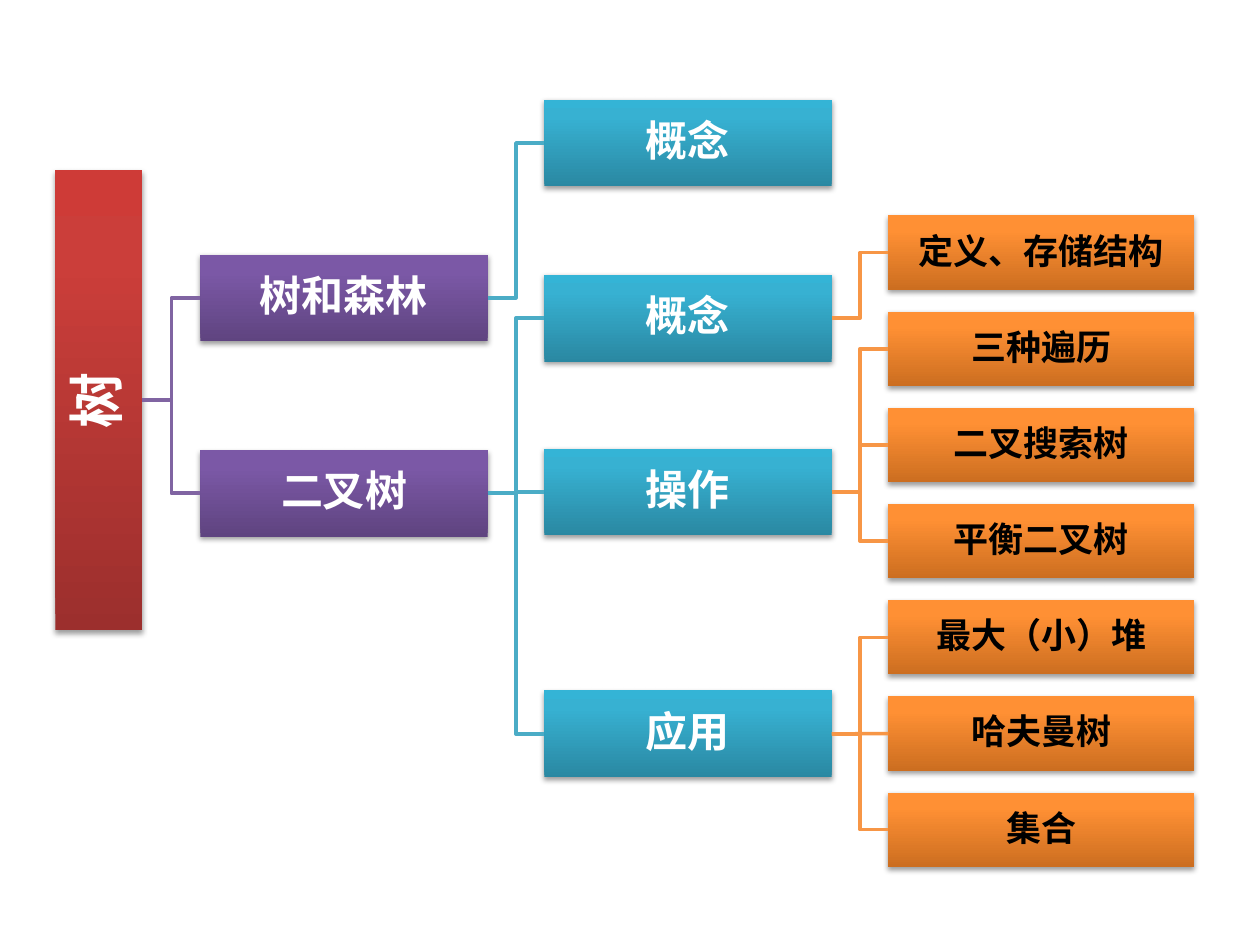
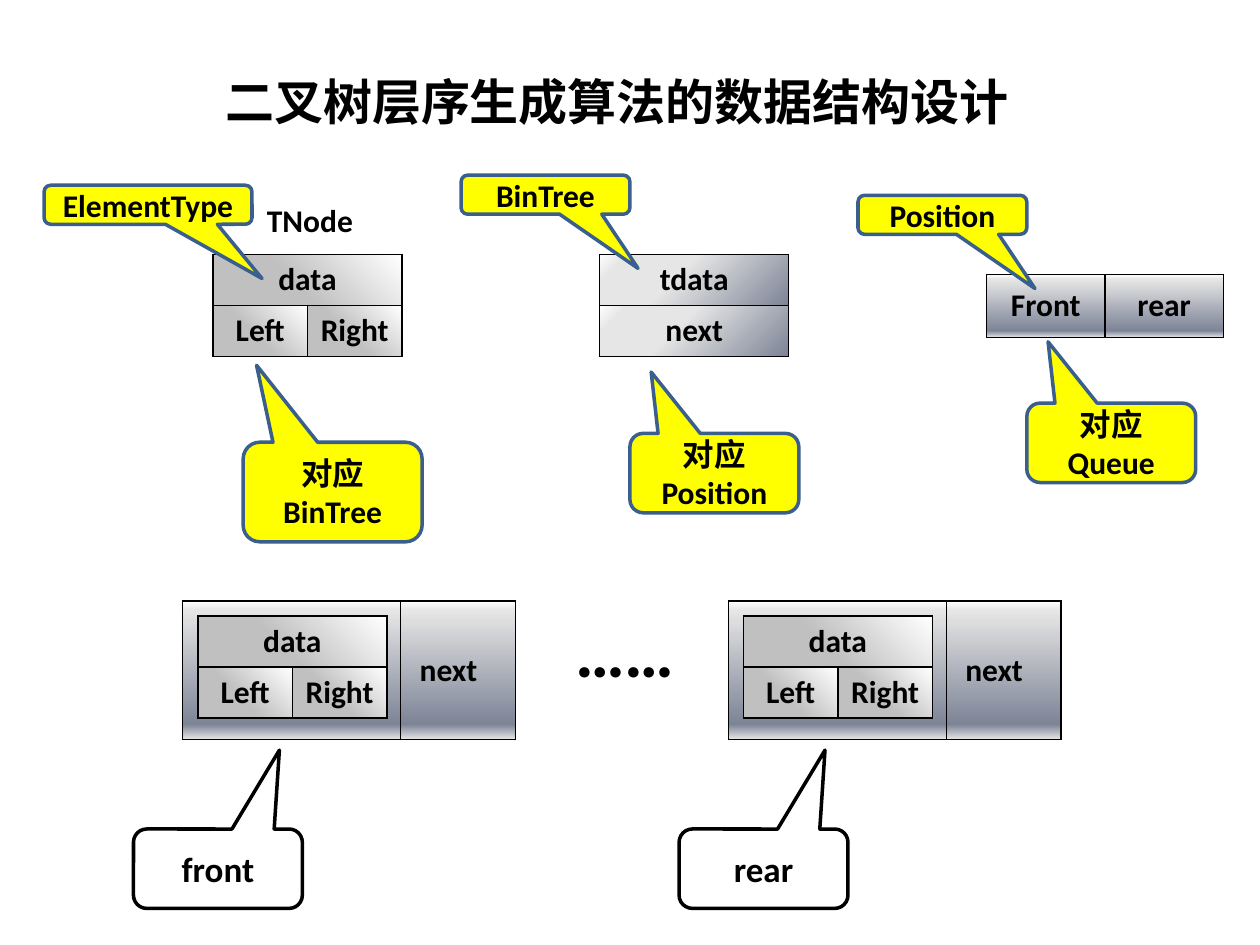
from dataclasses import dataclass

from lxml import etree
from pptx import Presentation
from pptx.dml.color import RGBColor
from pptx.enum.shapes import MSO_CONNECTOR as Connector, MSO_SHAPE as Shape
from pptx.enum.text import MSO_ANCHOR as Anchor, MSO_AUTO_SIZE as AutoSize, PP_ALIGN as Align
from pptx.oxml.ns import qn
from pptx.util import Inches, Pt


@dataclass(frozen=True)
class Theme:
    latin_font: str = "Calibri"
    asian_font: str = "Noto Sans CJK SC"
    black: str = "000000"
    white: str = "FFFFFF"
    yellow: str = "FFFF00"
    callout_line: str = "3A5F8C"
    body_size: int = 18
    pointer_size: int = 20
    title_size: int = 28
    dots_size: int = 40
    # gradients: angle, then (percent, colour) stops
    node_fill: tuple = (315, ((43, "C0C0C0"), (100, "FFFFFF")))
    item_fill: tuple = (45, ((0, "FFFFFF"), (12, "E6E6E6"), (41, "E6E6E6"),
                             (100, "7D8496"), (100, "E6E6E6")))
    steel_fill: tuple = (90, ((0, "FFFFFF"), (7, "E6E6E6"), (89, "7D8496"), (100, "E6E6E6")))


THEME = Theme()


@dataclass(frozen=True)
class Level:
    left: float
    width: float
    height: float
    gradient: tuple
    line: str
    size: int
    inset: float = 0.02
    text_color: str = THEME.white


@dataclass(frozen=True)
class Topic:
    text: str
    top: float
    children: tuple = ()


def upward(dark, middle, light):
    return 270, ((0, dark), (80, middle), (100, light))


LEVELS = (
    Level(0.44, 0.69, 3.65, upward("9C2F2D", "CB3E3A", "CE3B37"), "C0504D", 32),
    Level(1.59, 2.28, 0.69, upward("5F4480", "7B58A6", "7C57A8"), "8064A2", 24),
    Level(4.32, 2.28, 0.69, upward("2A88A2", "37B1D2", "34B4D6"), "4BACC6", 24),
    Level(7.05, 2.43, 0.59, upward("CC6E20", "FF9034", "FF9136"), "F79646", 20,
          0.01, THEME.black),
)
LEAF_TOP, LEAF_SPAN = 1.71, 4.58
LEAF_NAMES = ("定义、存储结构", "三种遍历", "二叉搜索树", "平衡二叉树",
              "最大（小）堆", "哈夫曼树", "集合")


def rgb(color):
    return RGBColor.from_string(color)


def apply_format(target, values):
    for name, value in values.items():
        setattr(target, name, value)


def set_gradient(fill, properties, gradient):
    """Give the fill held by a properties element any number of stops."""
    angle, stops = gradient
    fill.gradient()
    element = properties().find(qn("a:gradFill"))
    for child in list(element):
        element.remove(child)
    element.set("rotWithShape", "1")
    stop_list = etree.SubElement(element, qn("a:gsLst"))
    for percent, color in stops:
        stop = etree.SubElement(stop_list, qn("a:gs"), pos=str(percent * 1000))
        etree.SubElement(stop, qn("a:srgbClr"), val=color)
    etree.SubElement(element, qn("a:lin"), ang=str(angle * 60000), scaled="0")


def write_text(frame, text, size, color=THEME.black, align=Align.CENTER, **spacing):
    for index, line in enumerate(text.split("\n")):
        paragraph = frame.add_paragraph() if index else frame.paragraphs[0]
        apply_format(paragraph, {"alignment": align, **spacing})
        run = paragraph.add_run()
        run.text = line
        apply_format(run.font, {"name": THEME.latin_font, "size": Pt(size), "bold": True})
        run.font.color.rgb = rgb(color)
        if any(map(str.isalpha, line)):
            run.font._element.find(qn("a:latin")).addnext(
                etree.Element(qn("a:ea"), typeface=THEME.asian_font))


def add_shadow(shape):
    effects = shape._element.spPr.find(qn("a:effectLst"))
    shadow = etree.SubElement(effects, qn("a:outerShdw"), blurRad="40000", dist="20000",
                              dir="5400000", rotWithShape="0")
    color = etree.SubElement(shadow, qn("a:srgbClr"), val=THEME.black)
    etree.SubElement(color, qn("a:alpha"), val="38000")


def add_topic_box(slide, topic, level):
    box = slide.shapes.add_shape(Shape.RECTANGLE, *map(Inches, (
        level.left, topic.top, level.width, level.height)))
    box.shadow.inherit = False
    add_shadow(box)
    set_gradient(box.fill, lambda: box._element.spPr, level.gradient)
    box.line.fill.background()
    frame = box.text_frame
    inset = Inches(level.inset)
    apply_format(frame, {"margin_left": inset, "margin_right": inset, "margin_top": inset,
                         "margin_bottom": inset, "vertical_anchor": Anchor.MIDDLE,
                         "word_wrap": True})
    if level.height > level.width:
        frame._txBody.bodyPr.set("vert", "vert270")
    write_text(frame, topic.text, level.size, level.text_color,
               line_spacing=0.9, space_after=Pt(level.size * 0.35))
    return box


def add_line(slide, kind, ends, color, width):
    line = slide.shapes.add_connector(kind, *map(Inches, ends))
    line.line.color.rgb = rgb(color)
    line.line.width = Pt(width)
    etree.SubElement(line._element.spPr, qn("a:effectLst"))
    return line


def join_boxes(slide, parent, child, color):
    drop = child.top + child.height / 2 - parent.top - parent.height / 2
    kind = Connector.STRAIGHT if abs(drop) < Inches(0.005) else Connector.ELBOW
    line = add_line(slide, kind, (0, 0, 1, 1), color, 2)
    line.begin_connect(parent, 3)
    line.end_connect(child, 1)


def draw_branch(slide, topic, depth=0):
    """Draw a topic and everything below it; return the topic's box."""
    box = add_topic_box(slide, topic, LEVELS[depth])
    for child in topic.children:
        join_boxes(slide, box, draw_branch(slide, child, depth + 1), LEVELS[depth + 1].line)
    return box


def add_label(slide, text, place, size=THEME.body_size, align=Align.CENTER, wrap=False):
    label = slide.shapes.add_textbox(*map(Inches, place))
    apply_format(label.text_frame, {"word_wrap": wrap, "auto_size": AutoSize.SHAPE_TO_FIT_TEXT})
    write_text(label.text_frame, text, size, align=align)


def add_callout(slide, text, place, tip, fill=THEME.yellow, line=THEME.callout_line,
                size=THEME.body_size):
    """Add a rounded callout; tip is the pointer's offset as a share of its size."""
    callout = slide.shapes.add_shape(Shape.ROUNDED_RECTANGULAR_CALLOUT, *map(Inches, place))
    callout.adjustments[0], callout.adjustments[1] = tip
    callout.shadow.inherit = False
    callout.fill.solid()
    callout.fill.fore_color.rgb = rgb(fill)
    callout.line.color.rgb = rgb(line)
    callout.line.width = Pt(2)
    callout.text_frame.vertical_anchor = Anchor.MIDDLE
    write_text(callout.text_frame, text, size)


def add_borders(properties):
    for index, side in enumerate(("lnL", "lnR", "lnT", "lnB")):
        border = etree.Element(qn(f"a:{side}"), w=str(Pt(1)))
        fill = etree.SubElement(border, qn("a:solidFill"))
        etree.SubElement(fill, qn("a:srgbClr"), val=THEME.black)
        properties.insert(index, border)


def add_record(slide, rows, place, gradient, anchor=Anchor.MIDDLE, indent=0.1):
    """Add a record table; a row with one field spans all columns."""
    columns = max(map(len, rows))
    table = slide.shapes.add_table(len(rows), columns, *map(Inches, place)).table
    apply_format(table, {"first_row": False, "horz_banding": False})
    for row, fields in enumerate(rows):
        for column in range(columns):
            cell = table.cell(row, column)
            apply_format(cell, {"vertical_anchor": anchor, "margin_left": Inches(indent)})
            set_gradient(cell.fill, lambda: cell._tc.tcPr, gradient)
            add_borders(cell._tc.tcPr)
        if len(fields) < columns:
            table.cell(row, 0).merge(table.cell(row, columns - 1))
        for column, field in enumerate(fields):
            write_text(table.cell(row, column).text_frame, field, THEME.body_size)


def add_tree_node(slide, left, top):
    add_record(slide, (("data",), ("Left", "Right")), (left, top, 1.5, 0.81), THEME.node_fill)


def add_queue_node(slide, left, pointer):
    """Add a queue item that holds a tree node, with the pointer that marks it."""
    top = 4.77
    add_record(slide, (("next",),), (left, top, 2.64, 1.1), THEME.steel_fill, indent=1.68)
    add_tree_node(slide, left + 0.12, top + 0.12)
    divider = left + 1.73
    add_line(slide, Connector.STRAIGHT, (divider, top, divider, top + 1.1), THEME.black, 0.75)
    add_callout(slide, pointer, (left - 0.39, 6.58, 1.34, 0.63), (0.364, -1.494),
                THEME.white, THEME.black, THEME.pointer_size)


def build_tree_map(slide):
    pitch = LEAF_SPAN / (len(LEAF_NAMES) - 1)
    leaves = tuple(Topic(name, LEAF_TOP + index * pitch)
                   for index, name in enumerate(LEAF_NAMES))
    forest = Topic("树和森林", 2.02, (Topic("概念", 0.79),))
    binary = Topic("二叉树", 3.57, (
        Topic("概念", 2.18, leaves[:1]),
        Topic("操作", 3.56, leaves[1:4]),
        Topic("应用", 5.48, leaves[4:]),
    ))
    draw_branch(slide, Topic("树", 1.35, (forest, binary)))


def build_data_structures(slide):
    add_label(slide, "二叉树层序生成算法的数据结构设计", (1.69, 0.52, 6.51, 0.57),
              THEME.title_size, Align.LEFT)
    add_tree_node(slide, 1.69, 2.02)
    add_record(slide, (("tdata",), ("next",)), (4.76, 2.02, 1.5, 0.81),
               THEME.item_fill, Anchor.TOP)
    add_record(slide, (("Front", "rear"),), (7.83, 2.18, 1.88, 0.5), THEME.steel_fill)
    add_label(slide, "TNode", (2.02, 1.55, 0.89, 0.4), align=Align.LEFT)

    for text, left, top, width in (("ElementType", 0.35, 1.47, 1.65),
                                   ("BinTree", 3.66, 1.39, 1.34),
                                   ("Position", 6.81, 1.55, 1.34)):
        add_callout(slide, text, (left, top, width, 0.31), (0.548, 1.888))
    for name, place, tip in (("BinTree", (1.93, 3.51, 1.42, 0.79), -0.425),
                             ("Position", (5, 3.44, 1.34, 0.63), -0.374),
                             ("Queue", (8.15, 3.2, 1.34, 0.63), -0.374)):
        add_callout(slide, f"对应\n{name}", place, (tip, -1.273))

    add_queue_node(slide, 1.45, "front")
    add_queue_node(slide, 5.78, "rear")
    add_label(slide, "……", (4.45, 4.77, 1.02, 0.77), THEME.dots_size, wrap=True)


def main():
    presentation = Presentation()
    apply_format(presentation, {"slide_width": Inches(10), "slide_height": Inches(7.5)})
    blank = presentation.slide_layouts[6]
    for build in (build_tree_map, build_data_structures):
        build(presentation.slides.add_slide(blank))
    presentation.save("out.pptx")


if __name__ == "__main__":
    main()
